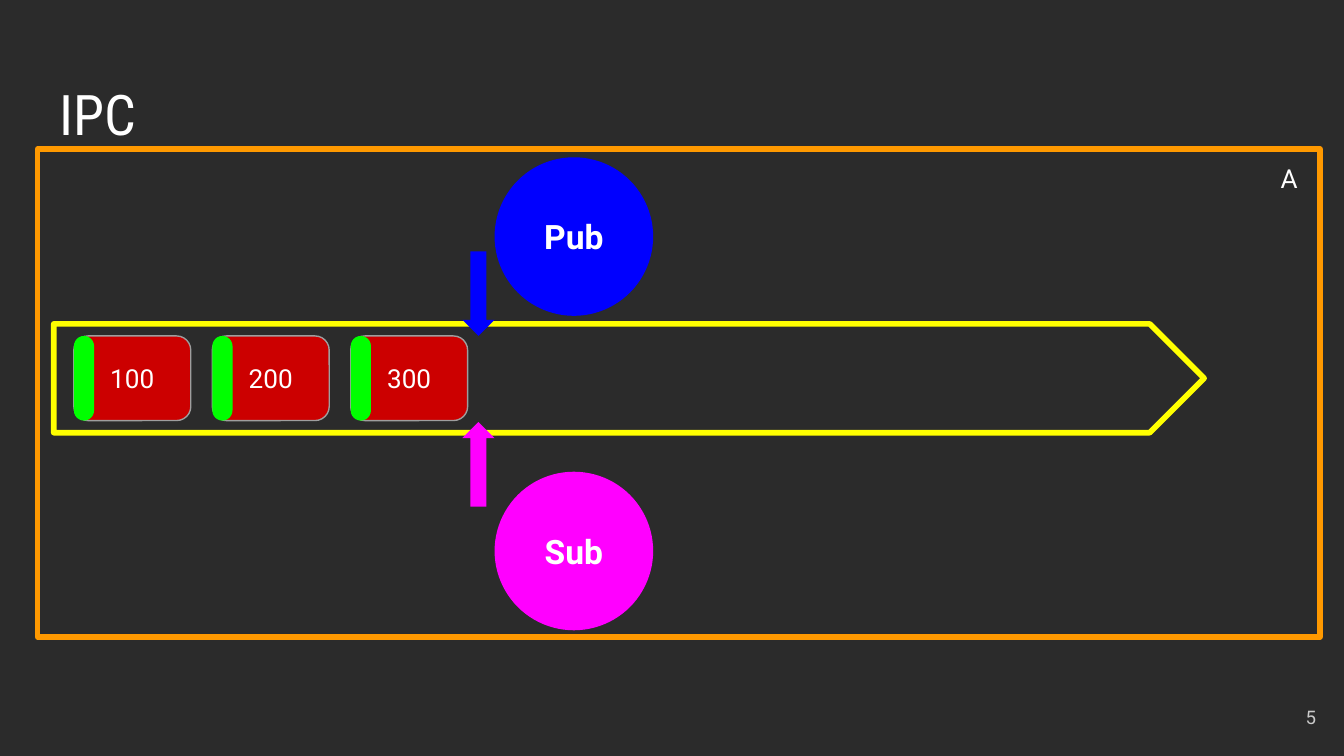
import pptx
import pptx.util
import pptx.dml.color
import pptx.enum.shapes
import pptx.enum.text

Inches, Pt = pptx.util.Inches, pptx.util.Pt
SHAPE = pptx.enum.shapes.MSO_SHAPE
ALIGN = pptx.enum.text.PP_ALIGN
ANCHOR = pptx.enum.text.MSO_ANCHOR

WIDTH = 10
HEIGHT = WIDTH * 9 / 16
WHITE, GREEN, RED, GREY = "FFFFFF", "00FF00", "CC0000", "9E9E9E"

TITLE = "IPC"
MESSAGES = ["100", "200", "300"]
# name, colour, circle top, arrow shape, arrow top
ENDPOINTS = [
    ("Sub", "FF00FF", 3.51, SHAPE.UP_ARROW, 3.14),
    ("Pub", "0000FF", 1.17, SHAPE.DOWN_ARROW, 1.87),
]
# text, box, size, colour, alignment, anchor
LABELS = [
    ("A", (9.43, 1.11, 0.39, 0.43), 14, WHITE, ALIGN.LEFT, ANCHOR.TOP),
    ("5", (9.29, 5.12, 0.6, 0.43), 10, "CACACA", ALIGN.RIGHT, ANCHOR.MIDDLE),
]

MSG_LEFT, MSG_TOP, MSG_STEP = 0.55, 2.5, 1.03
MSG_W, MSG_H, TAG_W = 0.87, 0.63, 0.15
CIRCLE_LEFT, CIRCLE_SIZE, ARROW_W = 3.68, 1.18, 0.24


def rgb(value):
    return pptx.dml.color.RGBColor.from_string(value)


def write(sp, text, size, color=WHITE, align=ALIGN.CENTER,
          anchor=ANCHOR.MIDDLE, font="Roboto", bold=False):
    tf = sp.text_frame
    tf.word_wrap = True
    tf.auto_size = pptx.enum.text.MSO_AUTO_SIZE.NONE
    tf.vertical_anchor = anchor
    tf.margin_left = tf.margin_right = Inches(0.1)
    tf.margin_top = tf.margin_bottom = Inches(0.1)
    p = tf.paragraphs[0]
    p.alignment = align
    r = p.add_run()
    r.text = text
    r.font.name, r.font.size, r.font.bold = font, Pt(size), bold
    r.font.color.rgb = rgb(color)


def add_shape(s, kind, box, fill=None, line=None, weight=0.75, adj=None):
    sp = s.shapes.add_shape(kind, *map(Inches, box))
    sp.shadow.inherit = False
    if fill:
        sp.fill.solid()
        sp.fill.fore_color.rgb = rgb(fill)
    else:
        sp.fill.background()
    if line:
        sp.line.color.rgb = rgb(line)
        sp.line.width = Pt(weight)
    else:
        sp.line.fill.background()
    if adj is not None:
        sp.adjustments[0] = adj
    return sp


def add_title(s):
    sp = s.shapes.title
    sp.left, sp.top, sp.width, sp.height = map(Inches, (0.34, 0.49, 9.32, 0.63))
    write(sp, TITLE, 30, align=ALIGN.LEFT, anchor=ANCHOR.TOP, font="Roboto Condensed")


def add_message(s, column, text):
    left = MSG_LEFT + column * MSG_STEP
    card = add_shape(s, SHAPE.ROUNDED_RECTANGLE, (left, MSG_TOP, MSG_W, MSG_H),
                     RED, GREY, adj=0.167)
    write(card, text, 14)
    add_shape(s, SHAPE.ROUNDED_RECTANGLE, (left, MSG_TOP, TAG_W, MSG_H), GREEN, adj=0.5)


def add_endpoint(s, name, color, top, arrow, arrow_top):
    circle = add_shape(s, SHAPE.OVAL, (CIRCLE_LEFT, top, CIRCLE_SIZE, CIRCLE_SIZE), color)
    write(circle, name, 18, bold=True)
    add_shape(s, arrow, (CIRCLE_LEFT - ARROW_W, arrow_top, ARROW_W, MSG_H), color)


def main():
    prs = pptx.Presentation()
    prs.slide_width, prs.slide_height = Inches(WIDTH), Inches(HEIGHT)
    s = prs.slides.add_slide(prs.slide_layouts[5])
    s.background.fill.solid()
    s.background.fill.fore_color.rgb = rgb("2B2B2B")

    add_shape(s, SHAPE.FLOWCHART_PROCESS, (0.28, 1.11, 9.54, 3.63), line="FF9900", weight=3)
    add_title(s)
    add_shape(s, SHAPE.PENTAGON, (0.4, 2.41, 8.56, 0.81), line="FFFF00", weight=3, adj=0.5)
    for column, text in enumerate(MESSAGES):
        add_message(s, column, text)
    for endpoint in ENDPOINTS:
        add_endpoint(s, *endpoint)
    for text, box, size, color, align, anchor in LABELS:
        write(s.shapes.add_textbox(*map(Inches, box)), text, size, color, align, anchor)

    prs.save("out.pptx")


if __name__ == "__main__":
    main()
